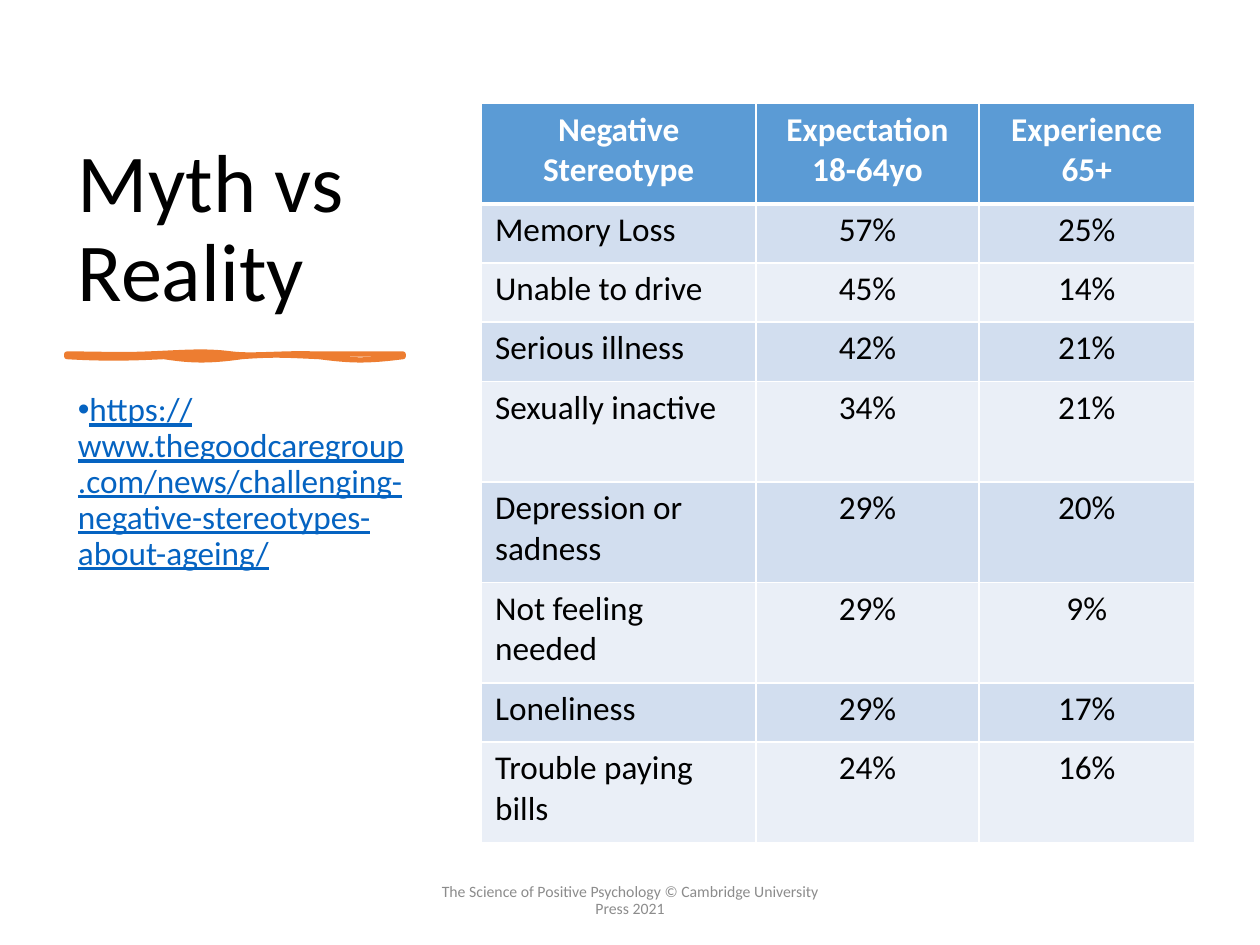
from pptx import Presentation
from pptx.dml.color import RGBColor
from pptx.enum.text import MSO_ANCHOR as Anchor, PP_ALIGN as Align
from pptx.oxml import parse_xml
from pptx.oxml.ns import nsdecls, qn
from pptx.util import Inches, Pt

# Content
TITLE = "Myth vs Reality"
SOURCE_URL = "https://www.thegoodcaregroup.com/news/challenging-negative-stereotypes-about-ageing/"
FOOTER = "The Science of Positive Psychology © Cambridge University Press 2021"
STEREOTYPES = [
    ("Negative Stereotype", "Expectation 18-64yo", "Experience 65+"),
    ("Memory Loss", "57%", "25%"),
    ("Unable to drive", "45%", "14%"),
    ("Serious illness", "42%", "21%"),
    ("Sexually inactive", "34%", "21%"),
    ("Depression or sadness", "29%", "20%"),
    ("Not feeling needed", "29%", "9%"),
    ("Loneliness", "29%", "17%"),
    ("Trouble paying bills", "24%", "16%"),
]
COLUMN_WIDTHS = (2.18, 1.77, 1.71)
TABLE_HEIGHT, SHORT_ROW = 5.87, 0.47
TALL_ROWS = {0, 4, 5, 6, 8}

# Brush stroke: start point, then curves as (control, control, end)
BRUSH_START = (0.53, 2.81)
BRUSH_EDGE = [
    ((0.83, 2.81), (0.92, 2.82), (1.17, 2.81)),
    ((1.44, 2.8), (1.62, 2.78), (1.84, 2.81)),
    ((2.01, 2.83), (2.25, 2.8), (2.5, 2.81)),
    ((2.73, 2.81), (2.98, 2.81), (3.2, 2.81)),
    ((3.2, 2.82), (3.2, 2.83), (3.2, 2.83)),
    ((2.89, 2.87), (2.77, 2.86), (2.53, 2.83)),
    ((2.29, 2.82), (2.19, 2.81), (1.92, 2.83)),
    ((1.64, 2.87), (1.5, 2.86), (1.3, 2.83)),
    ((1.1, 2.84), (0.86, 2.85), (0.53, 2.83)),
    ((0.53, 2.83), (0.53, 2.82), (0.53, 2.81)),
]
BRUSH_BODY = [
    ((0.76, 2.8), (1.01, 2.8), (1.17, 2.81)),
    ((1.32, 2.84), (1.49, 2.78), (1.76, 2.81)),
    ((2.03, 2.83), (2.28, 2.78), (2.48, 2.81)),
    ((2.69, 2.81), (2.84, 2.8), (3.2, 2.81)),
    ((3.2, 2.82), (3.2, 2.83), (3.2, 2.83)),
    ((2.91, 2.83), (2.81, 2.82), (2.58, 2.83)),
    ((2.35, 2.83), (2.22, 2.81), (1.97, 2.83)),
    ((1.69, 2.88), (1.51, 2.84), (1.25, 2.83)),
    ((1.01, 2.85), (0.8, 2.86), (0.53, 2.83)),
    ((0.53, 2.83), (0.53, 2.82), (0.53, 2.81)),
]

FONT = "Calibri"
BLACK = RGBColor(0x00, 0x00, 0x00)
WHITE = RGBColor(0xFF, 0xFF, 0xFF)
GRAY = RGBColor(0x8C, 0x8C, 0x8C)
LINK_BLUE = RGBColor(0x05, 0x63, 0xC1)
ORANGE = RGBColor(0xED, 0x7D, 0x31)
HEADER_BLUE = RGBColor(0x5B, 0x9B, 0xD5)
BAND_DARK = RGBColor(0xD2, 0xDE, 0xEF)
BAND_LIGHT = RGBColor(0xEA, 0xEF, 0xF7)

deck = Presentation()
deck.slide_width, deck.slide_height = Inches(10), Inches(7.5)
slide = deck.slides.add_slide(deck.slide_layouts[6])


def write(frame, text, size, color, bold=False, underline=False, align=Align.LEFT):
    paragraph = frame.paragraphs[0]
    paragraph.alignment = align
    run = paragraph.add_run()
    run.text = text
    look = {"name": FONT, "size": Pt(size), "bold": bold, "underline": underline}
    for key, value in look.items():
        setattr(run.font, key, value)
    run.font.color.rgb = color
    return paragraph


def add_text(place, text, size, color, anchor=Anchor.TOP, bullet=False, **look):
    frame = slide.shapes.add_textbox(*map(Inches, place)).text_frame
    frame.word_wrap = True
    frame.vertical_anchor = anchor
    if bullet:
        props = frame.paragraphs[0]._p.get_or_add_pPr()
        props.set("marL", "0")
        props.set("indent", str(-Inches(0.25)))
        props.append(parse_xml(f'<a:buFont {nsdecls("a")} typeface="Arial"/>'))
        props.append(parse_xml(f'<a:buChar {nsdecls("a")} char="•"/>'))
    write(frame, text, size, color, **look).line_spacing = 0.9


def bend(outline, curves):
    """Turn the straight segments of an outline into cubic curves."""
    left, top = BRUSH_START
    for segment, curve in zip(outline.findall(qn("a:lnTo")), curves):
        points = "".join(
            f'<a:pt x="{Inches(x - left)}" y="{Inches(y - top)}"/>' for x, y in curve)
        outline.replace(segment, parse_xml(
            f'<a:cubicBezTo {nsdecls("a")}>{points}</a:cubicBezTo>'))


def add_brush():
    start = tuple(map(Inches, BRUSH_START))
    builder = slide.shapes.build_freeform(*start)
    for index, curves in enumerate((BRUSH_EDGE, BRUSH_BODY)):
        if index:
            builder.move_to(*start)
        builder.add_line_segments([tuple(map(Inches, end)) for *_, end in curves])
    brush = builder.convert_to_shape()
    brush.shadow.inherit = False
    brush.fill.solid()
    brush.fill.fore_color.rgb = ORANGE
    brush.line.color.rgb = ORANGE
    brush.line.width = Pt(3)

    # The edge is only stroked, the body only filled
    edge = next(brush._element.iter(qn("a:path")))
    body = parse_xml(f'<a:path {nsdecls("a")} w="{edge.get("w")}" h="{edge.get("h")}"/>')
    second_start = edge.findall(qn("a:moveTo"))[1]
    for part in [second_start, *second_start.itersiblings()]:
        body.append(part)
    edge.addnext(body)
    edge.set("fill", "none")
    body.set("stroke", "0")
    for outline, curves in ((edge, BRUSH_EDGE), (body, BRUSH_BODY)):
        bend(outline, curves)
        outline.append(parse_xml(f'<a:close {nsdecls("a")}/>'))


def set_borders(cell, widths):
    props = cell._tc.get_or_add_tcPr()
    for side, width in widths.items():
        props.append(parse_xml(
            f'<a:ln{side} {nsdecls("a")} w="{Pt(width)}"><a:solidFill>'
            f'<a:srgbClr val="{WHITE}"/></a:solidFill></a:ln{side}>'))


# Left column and footer
add_text((0.52, 0.7, 2.81, 1.88), TITLE, 47, BLACK, anchor=Anchor.BOTTOM)
add_brush()
add_text((0.52, 3.07, 2.81, 3.73), SOURCE_URL, 19, LINK_BLUE, bullet=True, underline=True)
add_text((3.31, 6.95, 3.38, 0.4), FOOTER, 9, GRAY, anchor=Anchor.MIDDLE, align=Align.CENTER)

# Stereotype table: the tall rows share what the short rows leave
short_count = len(STEREOTYPES) - len(TALL_ROWS)
tall_row = (TABLE_HEIGHT - short_count * SHORT_ROW) / len(TALL_ROWS)
table = slide.shapes.add_table(
    len(STEREOTYPES), len(COLUMN_WIDTHS), Inches(3.82), Inches(0.82),
    Inches(sum(COLUMN_WIDTHS)), Inches(TABLE_HEIGHT)).table
for column, width in zip(table.columns, COLUMN_WIDTHS):
    column.width = Inches(width)
for r, texts in enumerate(STEREOTYPES):
    table.rows[r].height = Inches(tall_row if r in TALL_ROWS else SHORT_ROW)
    header = r == 0
    band = HEADER_BLUE if header else BAND_DARK if r % 2 else BAND_LIGHT
    for c, text in enumerate(texts):
        cell = table.cell(r, c)
        cell.margin_left = cell.margin_right = Inches(0.11)
        set_borders(cell, {"L": 1, "R": 1, "T": 3 if r == 1 else 1, "B": 3 if header else 1})
        cell.fill.solid()
        cell.fill.fore_color.rgb = band
        write(cell.text_frame, text, 19, WHITE if header else BLACK, bold=header,
              align=Align.CENTER if header or c else Align.LEFT)

deck.save("out.pptx")
